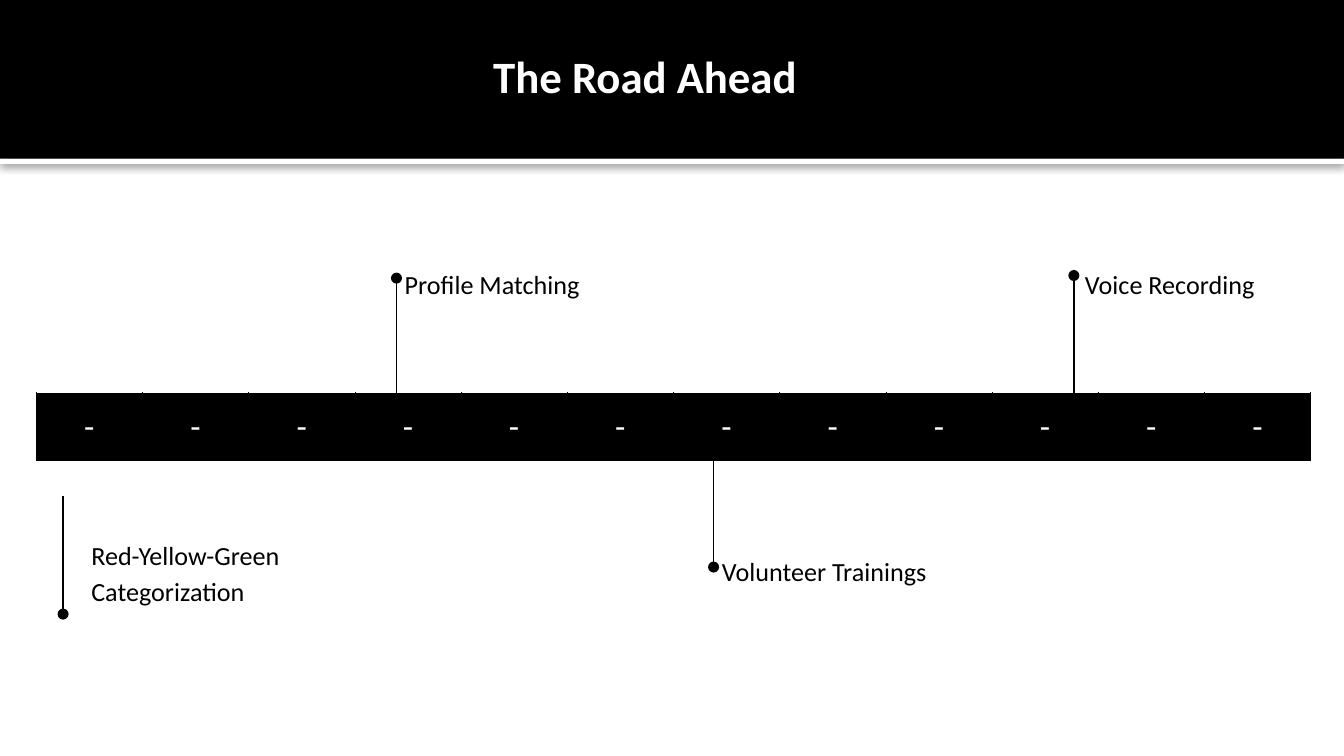
from dataclasses import dataclass

from lxml.etree import SubElement
from pptx import Presentation
from pptx.dml.color import RGBColor
from pptx.enum.shapes import MSO_CONNECTOR, MSO_SHAPE
from pptx.enum.text import MSO_ANCHOR, MSO_AUTO_SIZE, PP_ALIGN
from pptx.oxml import parse_xml
from pptx.oxml.ns import nsdecls, qn
from pptx.util import Pt


@dataclass(frozen=True)
class Theme:
    font: str = "Calibri"
    dark: RGBColor = RGBColor(0, 0, 0)
    light: RGBColor = RGBColor(255, 255, 255)
    title: int = 24
    dash: int = 18
    label: int = 14
    line: float = 0.75
    edge: float = 0.25


THEME = Theme()
WIDTH, HEIGHT = 720, 405
DASHES = 12

# text, left, top, width, height, left inset, inset
LABELS = [
    ("Profile Matching", 203.8, 137.5, 166, 40, 13, 3.6),
    ("Volunteer Trainings", 373.7, 291.6, 208, 45, 13, 3.6),
    ("Voice Recording", 568.2, 137.5, 148, 45, 13, 3.6),
    ("Red-Yellow-Green\nCategorization", 41.8, 279.4, 162, 55, 7.2, 7.2),
]

# x, start y, end y
PINS = [
    (212.4, 212.4, 149),
    (382.3, 240.5, 303.8),
    (575.3, 211, 147.6),
    (33.8, 265.7, 329),
]


def apply(target, values):
    for name, value in values.items():
        setattr(target, name, value)


def style(par, size, color, bold=False):
    for run in par.runs:
        apply(run.font, {"name": THEME.font, "size": Pt(size), "bold": bold})
        run.font.color.rgb = color


def add_bar(slide, top, height, color):
    bar = slide.shapes.add_shape(
        MSO_SHAPE.RECTANGLE, 0, Pt(top), Pt(WIDTH), Pt(height))
    bar.shadow.inherit = False
    bar.fill.solid()
    bar.fill.fore_color.rgb = color
    bar.line.fill.background()
    return bar


def add_shade(bar):
    """Give the bar a soft shadow that falls straight down."""
    effects = bar.element.spPr.find(qn("a:effectLst"))
    shade = SubElement(effects, qn("a:outerShdw"), blurRad=str(Pt(5)),
                       dist=str(Pt(0.8)), dir="5400000", rotWithShape="0")
    color = SubElement(shade, qn("a:srgbClr"), val=str(THEME.dark))
    SubElement(color, qn("a:alpha"), val="60000")


def set_title(slide, text):
    title = slide.shapes.title
    apply(title, {"left": Pt(260.6), "top": Pt(22.3),
                  "width": Pt(198.7), "height": Pt(40.3)})
    frame = title.text_frame
    frame.text = text
    apply(frame, {"margin_left": Pt(3.6), "margin_right": Pt(3.6),
                  "margin_top": Pt(3.6), "margin_bottom": Pt(3.6),
                  "vertical_anchor": MSO_ANCHOR.TOP, "word_wrap": True,
                  "auto_size": MSO_AUTO_SIZE.NONE})
    par = frame.paragraphs[0]
    par.alignment = PP_ALIGN.LEFT
    style(par, THEME.title, THEME.light, bold=True)
    slide.shapes.element.append(title.element)  # in front of the banner


def add_label(slide, text, left, top, width, height, indent, inset):
    box = slide.shapes.add_textbox(Pt(left), Pt(top), Pt(width), Pt(height))
    frame = box.text_frame
    apply(frame, {"word_wrap": True, "margin_left": Pt(indent),
                  "margin_right": Pt(inset), "margin_top": Pt(inset),
                  "margin_bottom": Pt(inset)})
    par = frame.paragraphs[0]
    par.text = text
    apply(par, {"line_spacing": 1.15, "space_before": Pt(16)})
    style(par, THEME.label, THEME.dark)


def add_pin(slide, x, start, end):
    pin = slide.shapes.add_connector(
        MSO_CONNECTOR.STRAIGHT, Pt(x), Pt(start), Pt(x), Pt(end))
    pin.line.color.rgb = THEME.dark
    pin.line.width = Pt(THEME.line)
    SubElement(pin.line._get_or_add_ln(), qn("a:tailEnd"), type="oval")
    SubElement(pin.element.spPr, qn("a:effectLst"))


def set_edges(cell):
    props = cell._tc.get_or_add_tcPr()
    for place, side in enumerate("LRTB"):
        props.insert(place, parse_xml(
            f'<a:ln{side} {nsdecls("a")} w="{Pt(THEME.edge)}"><a:solidFill>'
            f'<a:srgbClr val="{THEME.dark}"/></a:solidFill></a:ln{side}>'))


def add_road(slide):
    table = slide.shapes.add_table(
        1, DASHES, Pt(19.4), Pt(210.4), Pt(682.8), Pt(31.7)).table
    apply(table, {"first_row": False, "horz_banding": False})
    for cell in table.iter_cells():
        cell.text = "-"
        apply(cell, {"margin_left": Pt(7.2), "margin_right": Pt(7.2),
                     "margin_top": Pt(7.2), "margin_bottom": Pt(7.2)})
        cell.fill.solid()
        cell.fill.fore_color.rgb = THEME.dark
        set_edges(cell)
        par = cell.text_frame.paragraphs[0]
        par.alignment = PP_ALIGN.CENTER
        style(par, THEME.dash, THEME.light)


def main():
    deck = Presentation()
    apply(deck, {"slide_width": Pt(WIDTH), "slide_height": Pt(HEIGHT)})
    slide = deck.slides.add_slide(deck.slide_layouts.get_by_name("Title Only"))
    add_shade(add_bar(slide, 85, 2.9, THEME.light))
    add_bar(slide, 0, 85, THEME.dark)
    set_title(slide, "The Road Ahead")
    for label in LABELS:
        add_label(slide, *label)
    for pin in PINS:
        add_pin(slide, *pin)
    add_road(slide)
    deck.save("out.pptx")


if __name__ == "__main__":
    main()
